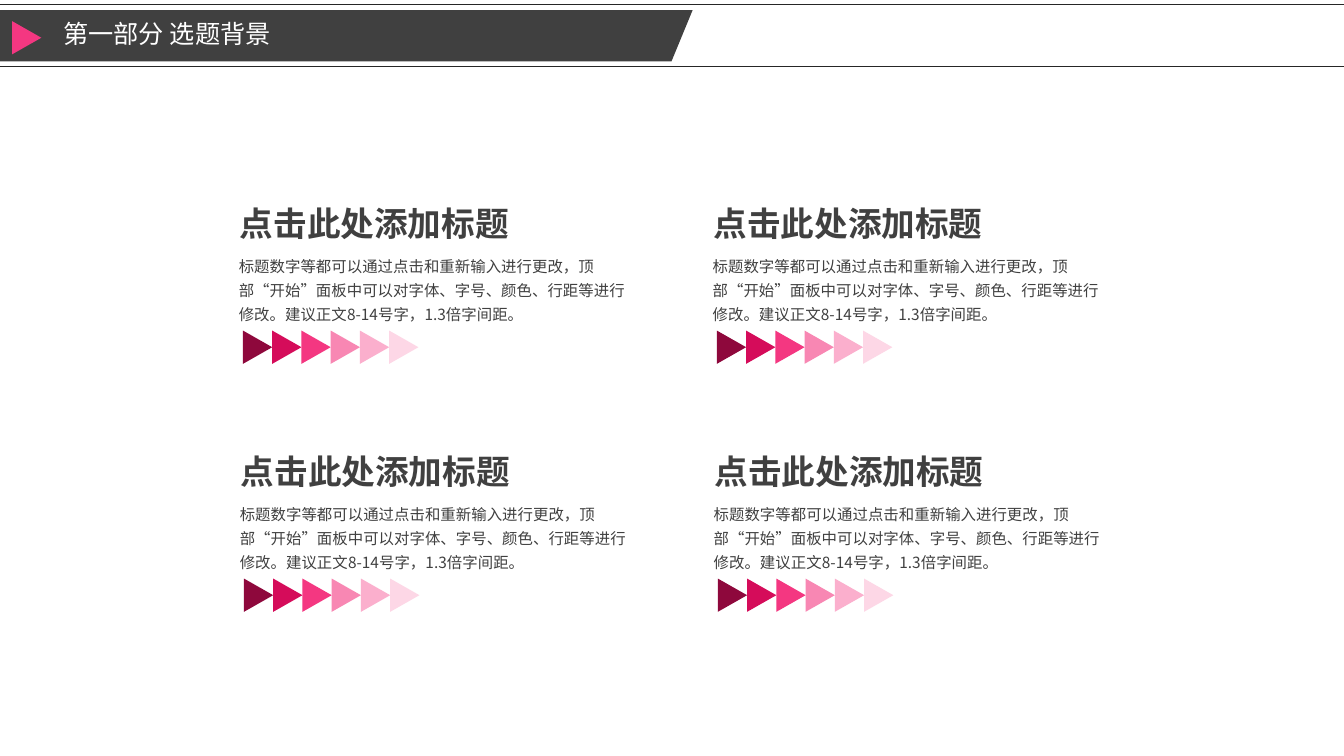
from dataclasses import dataclass

from lxml import etree
from pptx import Presentation
from pptx import util as u
from pptx.dml import color
from pptx.enum import lang, shapes, text
from pptx.oxml import ns


@dataclass(frozen=True)
class Theme:
    dark: str = "404040"
    rule: str = "262626"
    white: str = "FFFFFF"
    accent: str = "F43781"
    arrows: tuple = ("8E083C", "D50C5A", "F43781", "F887B3", "FBAFCD", "FDD7E6")
    heading_font: str = "Roboto Condensed"
    body_font: str = "Noto Sans CJK SC"
    section_size: int = 18
    title_size: int = 24
    body_size: int = 11


THEME = Theme()
SLIDE_WIDTH, SLIDE_HEIGHT = 13.33, 7.5
ARROW_BASE, ARROW_LENGTH = 0.33, 0.29
TITLE = "点击此处添加标题"
BODY = ("标题数字等都可以通过点击和重新输入进行更改，顶部“开始”面板中可以对字体、字号、颜色、"
        "行距等进行修改。建议正文8-14号字，1.3倍字间距。")


def fill_plain(shape, fill):
    shape.shadow.inherit = False
    shape.fill.solid()
    shape.fill.fore_color.rgb = color.RGBColor.from_string(fill)
    shape.line.fill.background()


def add_rule(slide, top):
    line = slide.shapes.add_connector(
        shapes.MSO_CONNECTOR.STRAIGHT, 0, u.Inches(top),
        u.Inches(SLIDE_WIDTH), u.Inches(top))
    line.line.color.rgb = color.RGBColor.from_string(THEME.rule)
    line.line.width = u.Pt(0.5)
    etree.SubElement(line._element.spPr, ns.qn("a:effectLst"))


def add_arrow(parent, left, top, fill):
    """Add a right-pointing triangle whose visible corner is at left, top."""
    turn = (ARROW_BASE - ARROW_LENGTH) / 2
    arrow = parent.shapes.add_shape(
        shapes.MSO_SHAPE.ISOSCELES_TRIANGLE, u.Inches(left - turn),
        u.Inches(top + turn), u.Inches(ARROW_BASE), u.Inches(ARROW_LENGTH))
    arrow.rotation = 90
    fill_plain(arrow, fill)


def add_text(slide, box, words, font_name, size, fill, bold=False,
             wrap=True, spacing=1.0, anchor=text.MSO_ANCHOR.TOP):
    shape = slide.shapes.add_textbox(*(u.Inches(length) for length in box))
    frame = shape.text_frame
    frame.word_wrap = wrap
    frame.vertical_anchor = anchor
    paragraph = frame.paragraphs[0]
    paragraph.line_spacing = spacing
    run = paragraph.add_run()
    run.text = words
    font = run.font
    font.name = font_name
    font.size = u.Pt(size)
    font.bold = bold
    font.color.rgb = color.RGBColor.from_string(fill)
    font.language_id = lang.MSO_LANGUAGE_ID.SIMPLIFIED_CHINESE
    east_asian = etree.SubElement(font._element, ns.qn("a:ea"))
    east_asian.set("typeface", THEME.body_font)


def add_header(slide, top, height):
    add_rule(slide, top)
    add_rule(slide, top + height)
    banner_top, banner_height = top + 0.06, 0.51
    bottom = banner_top + banner_height
    builder = slide.shapes.build_freeform(0, u.Inches(banner_top))
    builder.add_line_segments([
        (u.Inches(6.87), u.Inches(banner_top)),
        (u.Inches(6.66), u.Inches(bottom)),
        (0, u.Inches(bottom))])
    fill_plain(builder.convert_to_shape(), THEME.dark)
    add_arrow(slide, 0.12, top + 0.17, THEME.accent)
    add_text(slide, (0.53, banner_top, 5.91, banner_height), "第一部分 选题背景",
             THEME.heading_font, THEME.section_size, THEME.white,
             spacing=0.9, anchor=text.MSO_ANCHOR.MIDDLE)


def add_topic(slide, left, top):
    """Add a title, its text and a row of fading arrows."""
    add_text(slide, (left + 0.01, top, 2.89, 0.5), TITLE, THEME.heading_font,
             THEME.title_size, THEME.dark, bold=True, wrap=False)
    add_text(slide, (left, top + 0.49, 4.08, 0.82), BODY, THEME.body_font,
             THEME.body_size, THEME.dark, spacing=1.3)
    row = slide.shapes.add_group_shape()
    for index, fill in enumerate(THEME.arrows):
        add_arrow(row, left + 0.14 + index * ARROW_LENGTH, top + 1.32, fill)


def main():
    presentation = Presentation()
    presentation.slide_width = u.Inches(SLIDE_WIDTH)
    presentation.slide_height = u.Inches(SLIDE_HEIGHT)
    slide = presentation.slides.add_slide(presentation.slide_layouts[6])
    add_header(slide, 0.04, 0.62)
    for row in range(2):
        for column in range(2):
            add_topic(slide, 2.27 + column * 4.7 + row * 0.01, 1.96 + row * 2.46)
    presentation.save("out.pptx")


if __name__ == "__main__":
    main()
